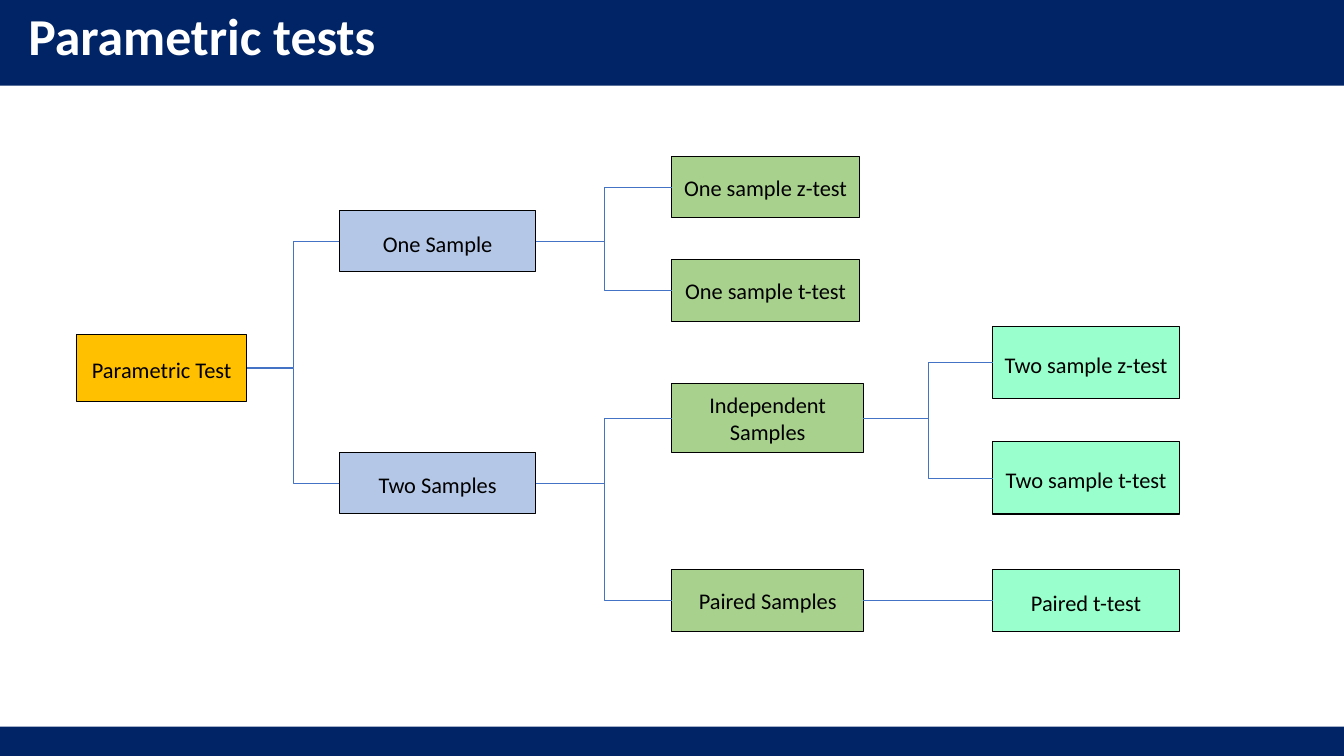
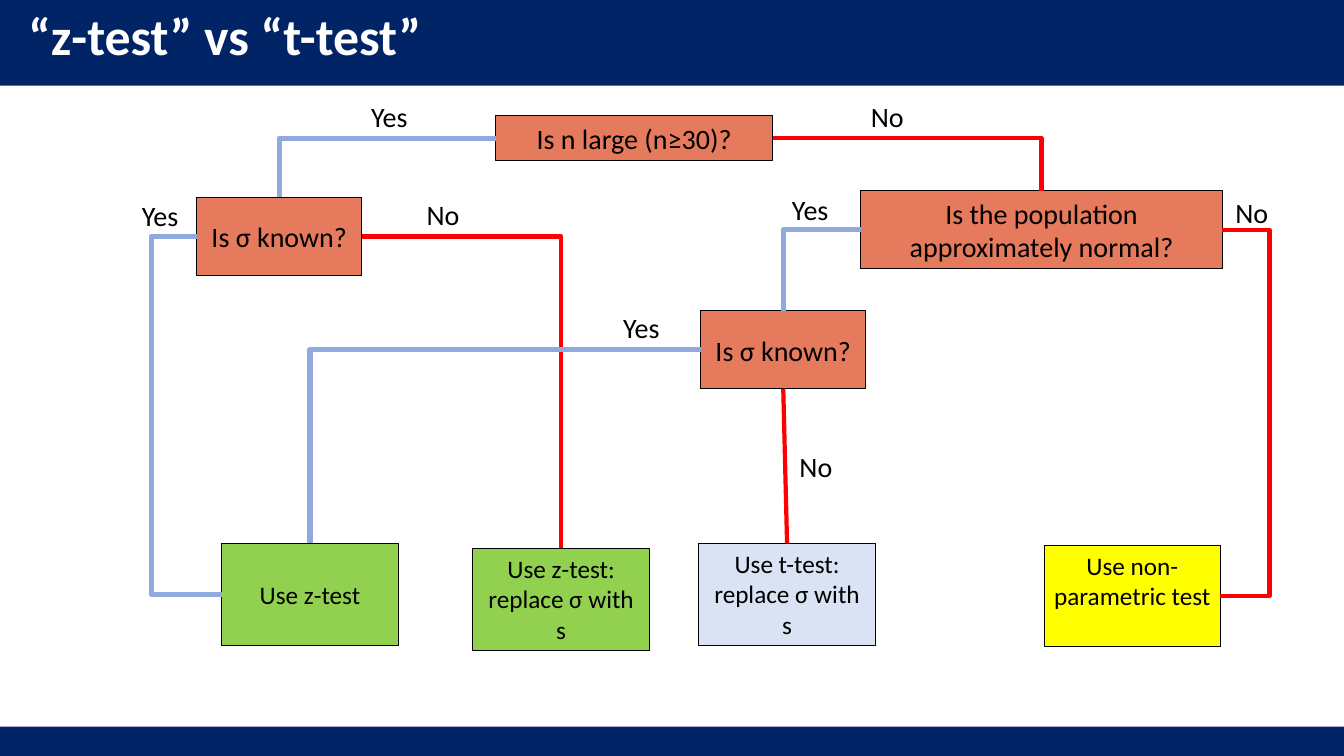
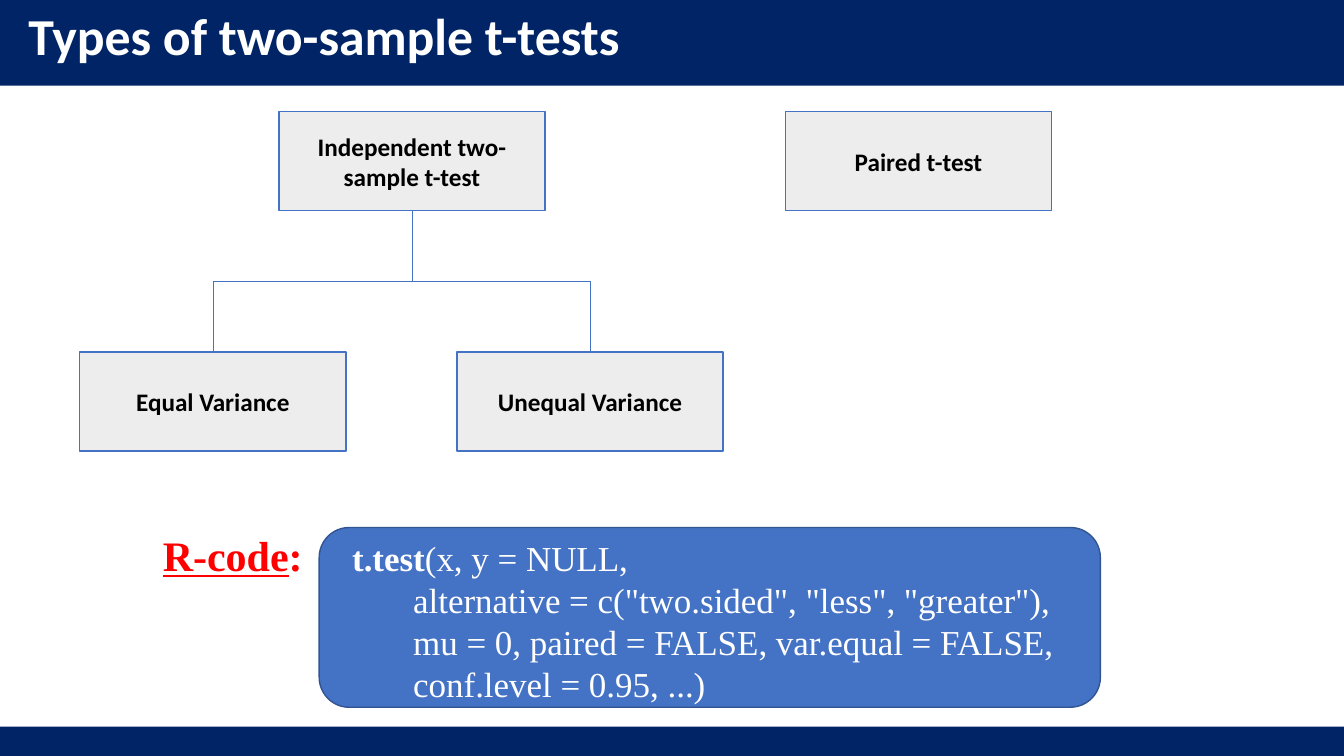
from lxml.etree import SubElement
from pptx import Presentation
from pptx.dml.color import RGBColor
from pptx.enum.shapes import MSO_CONNECTOR, MSO_SHAPE
from pptx.enum.text import MSO_ANCHOR, PP_ALIGN
from pptx.oxml.ns import qn
from pptx.util import Inches, Pt

COLUMNS, ROWS = 160, 90
CELL = Inches(7.5) // ROWS
TOP, LEFT, BOTTOM, RIGHT = range(4)

NAVY = RGBColor(0x00, 0x24, 0x66)
WHITE = RGBColor(0xFF, 0xFF, 0xFF)
BLACK = RGBColor(0x00, 0x00, 0x00)
AMBER = RGBColor(0xFF, 0xC0, 0x00)
PALE_BLUE = RGBColor(0xB4, 0xC7, 0xE7)
SAGE = RGBColor(0xA9, 0xD1, 0x8E)
MINT = RGBColor(0x99, 0xFF, 0xCC)
CORAL = RGBColor(0xE6, 0x7A, 0x5C)
GREEN = RGBColor(0x92, 0xD0, 0x50)
ICE = RGBColor(0xDA, 0xE3, 0xF3)
YELLOW = RGBColor(0xFF, 0xFF, 0x00)
GREY = RGBColor(0xED, 0xED, 0xED)
BLUE = RGBColor(0x44, 0x72, 0xC4)
DARK_BLUE = RGBColor(0x32, 0x54, 0x91)
YES_BLUE = RGBColor(0x8F, 0xAA, 0xDC)
RED = RGBColor(0xFF, 0x00, 0x00)

SANS, SERIF = "Calibri", "Times New Roman"


def grid(*cells):
    return [round(cell * CELL) for cell in cells]


def write(box, paragraphs, size, colour=BLACK, font=SANS, bold=False,
          align=PP_ALIGN.CENTER, anchor=MSO_ANCHOR.MIDDLE, spacing=None):
    frame = box.text_frame
    frame.word_wrap = True
    frame.vertical_anchor = anchor
    for index, spans in enumerate(paragraphs):
        para = frame.add_paragraph() if index else frame.paragraphs[0]
        para.alignment = align
        if spacing:
            para.line_spacing = spacing
        for text, style in spans:
            span = para.add_run()
            span.text = text
            span.font.name = font
            span.font.size = Pt(size)
            span.font.color.rgb = colour
            span.font.bold = style.get("bold", bold)
            span.font.underline = style.get("underline", False)


def plain(*lines):
    return [[(line, {})] for line in lines]


def add_box(page, area, fill, outline=None, weight=0.75, preset=MSO_SHAPE.RECTANGLE):
    box = page.shapes.add_shape(preset, *grid(*area))
    box.shadow.inherit = False
    box.fill.solid()
    box.fill.fore_color.rgb = fill
    if outline is None:
        box.line.fill.background()
    else:
        box.line.color.rgb = outline
        box.line.width = Pt(weight)
    return box


def add_text(page, area, paragraphs, size, **style):
    box = page.shapes.add_textbox(*grid(*area))
    write(box, paragraphs, size, **style)
    return box


def add_page(deck, title):
    page = deck.slides.add_slide(deck.slide_layouts[6])
    add_box(page, (0, 0, COLUMNS, 10.2), NAVY)
    add_box(page, (0, 86.5, COLUMNS, 3.5), NAVY)
    add_text(page, (2.2, 1.7, 93.8, 6.8), plain(title), 37, colour=WHITE,
             bold=True, align=PP_ALIGN.LEFT, spacing=0.7)
    return page


def side_point(box, side):
    middle_x, middle_y = box.left + box.width // 2, box.top + box.height // 2
    return {
        TOP: (middle_x, box.top),
        LEFT: (box.left, middle_y),
        BOTTOM: (middle_x, box.top + box.height),
        RIGHT: (box.left + box.width, middle_y),
    }[side]


def add_line(page, begin, end, colour, weight, kind=MSO_CONNECTOR.STRAIGHT):
    line = page.shapes.add_connector(kind, *begin, *end)
    line.line.color.rgb = colour
    line.line.width = Pt(weight)
    SubElement(line._element.spPr, qn("a:effectLst"))
    return line


def join(page, start, start_side, finish, finish_side, colour, weight, turn=None):
    begin, end = side_point(start, start_side), side_point(finish, finish_side)
    sideways = {LEFT, RIGHT}
    aligned = begin[1] == end[1] or not sideways & {start_side, finish_side}
    kind = MSO_CONNECTOR.STRAIGHT if aligned else MSO_CONNECTOR.ELBOW
    line = add_line(page, begin, end, colour, weight, kind)
    line.begin_connect(start, start_side)
    line.end_connect(finish, finish_side)
    geometry = line._element.spPr.find(qn("a:prstGeom"))
    if not aligned and finish_side not in sideways:
        geometry.set("prst", "bentConnector2")
    if turn is not None:
        share = (turn * CELL - begin[0]) / (end[0] - begin[0])
        guide = SubElement(geometry.find(qn("a:avLst")), qn("a:gd"))
        guide.set("name", "adj1")
        guide.set("fmla", f"val {round(share * 100000)}")


def tree_page(deck):
    page = add_page(deck, "Parametric tests")
    levels = [(9.1, AMBER, 1.15), (40.4, PALE_BLUE, 1.15),
              (80, SAGE, None), (118.2, MINT, 1.15)]
    nodes = [
        ("Parametric Test", 0, 43.8, 20.3, 7.9, None),
        ("One Sample", 1, 28.7, 23.4, 7.3, "Parametric Test"),
        ("Two Samples", 1, 57.5, 23.4, 7.3, "Parametric Test"),
        ("One sample z-test", 2, 22.3, 22.3, 7.3, "One Sample"),
        ("One sample t-test", 2, 34.6, 22.3, 7.3, "One Sample"),
        ("Independent Samples", 2, 49.8, 22.8, 8.2, "Two Samples"),
        ("Paired Samples", 2, 71.5, 22.8, 7.4, "Two Samples"),
        ("Two sample z-test", 3, 43.2, 22.2, 8.6, "Independent Samples"),
        ("Two sample t-test", 3, 56.9, 22.2, 8.6, "Independent Samples"),
        ("Paired t-test", 3, 71.5, 22.2, 7.4, "Paired Samples"),
    ]
    boxes = {}
    for name, level, middle, width, height, parent in nodes:
        left, fill, spacing = levels[level]
        box = add_box(page, (left, middle - height / 2, width, height), fill, BLACK)
        write(box, plain(name), 16, spacing=spacing)
        boxes[name] = box
        if parent:
            join(page, boxes[parent], RIGHT, box, LEFT, BLUE, 0.5)


def decision_page(deck):
    page = add_page(deck, "“z-test” vs “t-test”")

    def question(text, left, top, width, height=9.3):
        box = add_box(page, (left, top, width, height), CORAL, BLACK)
        write(box, plain(text), 20)
        return box

    def answer(lines, left, top, fill, anchor=MSO_ANCHOR.TOP):
        box = add_box(page, (left, top, 21, 12.1), fill, BLACK)
        write(box, plain(*lines), 18, anchor=anchor)
        return box

    large = question("Is n large (n≥30)?", 59, 13.8, 33, 5.3)
    large_known = question("Is σ known?", 23.4, 23.5, 19.7)
    normal = question("Is the population approximately normal?", 102.5, 22.7, 43)
    small_known = question("Is σ known?", 83.4, 37, 19.7)
    z_test = answer(["Use z-test"], 26.4, 64.7, GREEN, MSO_ANCHOR.MIDDLE)
    z_with_s = answer(["Use z-test: replace σ with s"], 56.3, 65.3, GREEN)
    t_with_s = answer(["Use t-test:", "replace σ with s"], 83.2, 64.7, ICE)
    other = answer(["Use non-parametric test"], 124.3, 64.9, YELLOW)

    yes, no = ("Yes", YES_BLUE, 3.75), ("No", RED, 3)
    branches = [
        (yes, large, LEFT, large_known, TOP, None, 43, 11.2),
        (no, large, RIGHT, normal, TOP, None, 102.5, 11.3),
        (yes, large_known, LEFT, z_test, LEFT, 18, 15.7, 23),
        (no, large_known, RIGHT, z_with_s, TOP, None, 49.6, 22.9),
        (yes, normal, LEFT, small_known, TOP, None, 93.1, 22.3),
        (no, normal, RIGHT, other, RIGHT, 151.2, 145.9, 22.7),
        (yes, small_known, LEFT, z_test, TOP, None, 73, 36.4),
        (no, small_known, BOTTOM, t_with_s, TOP, None, 94, 52.9),
    ]
    for reply, start, start_side, finish, finish_side, turn, left, top in branches:
        word, colour, weight = reply
        join(page, start, start_side, finish, finish_side, colour, weight, turn)
        add_text(page, (left, top, 13.5, 5.3), plain(word), 20,
                 align=PP_ALIGN.LEFT, anchor=MSO_ANCHOR.TOP)


def types_page(deck):
    page = add_page(deck, "Types of two-sample t-tests")

    def type_box(text, left, top):
        box = add_box(page, (left, top, 31.7, 11.8), GREY, BLUE, 1)
        write(box, plain(text), 18, bold=True)
        return box

    upper, lower = 13.3, 41.9
    independent = type_box("Independent two-sample t-test", 33.2, upper)
    type_box("Paired t-test", 93.5, upper)
    children = [type_box("Equal Variance", 9.5, lower),
                type_box("Unequal Variance", 54.4, lower)]

    fork = round((upper + 11.8 + lower) / 2 * CELL)
    parent_x, parent_y = side_point(independent, BOTTOM)
    stem = add_line(page, (parent_x, parent_y), (parent_x, fork), BLUE, 0.5)
    stem.begin_connect(independent, BOTTOM)
    corners = [(side_point(child, TOP)[0], fork) for child in children]
    add_line(page, *corners, BLUE, 0.5)
    for child, corner in zip(children, corners):
        drop = add_line(page, corner, side_point(child, TOP), BLUE, 0.5)
        drop.end_connect(child, TOP)

    code_style = dict(font=SERIF, align=PP_ALIGN.LEFT, anchor=MSO_ANCHOR.TOP)
    code = add_box(page, (38, 62.8, 93, 21.4), BLUE, DARK_BLUE, 1,
                   MSO_SHAPE.ROUNDED_RECTANGLE)
    code.text_frame.margin_left = Inches(0.24)
    code.text_frame.margin_top = code.text_frame.margin_right = 0
    write(code, [
        [("t.test", {"bold": True}), ("(x, y = NULL,", {})],
        *plain('       alternative = c("two.sided", "less", "greater"),',
               "       mu = 0, paired = FALSE, var.equal = FALSE,",
               "       conf.level = 0.95, ...)"),
    ], 25, colour=WHITE, **code_style)
    heading = add_text(page, (18.2, 62.4, 20.5, 7.3),
                       [[("R-code", {"underline": True}), (":", {})]],
                       30, colour=RED, bold=True, **code_style)
    heading.text_frame.word_wrap = False


def main():
    deck = Presentation()
    deck.slide_width, deck.slide_height = grid(COLUMNS, ROWS)
    tree_page(deck)
    decision_page(deck)
    types_page(deck)
    deck.save("out.pptx")


if __name__ == "__main__":
    main()
